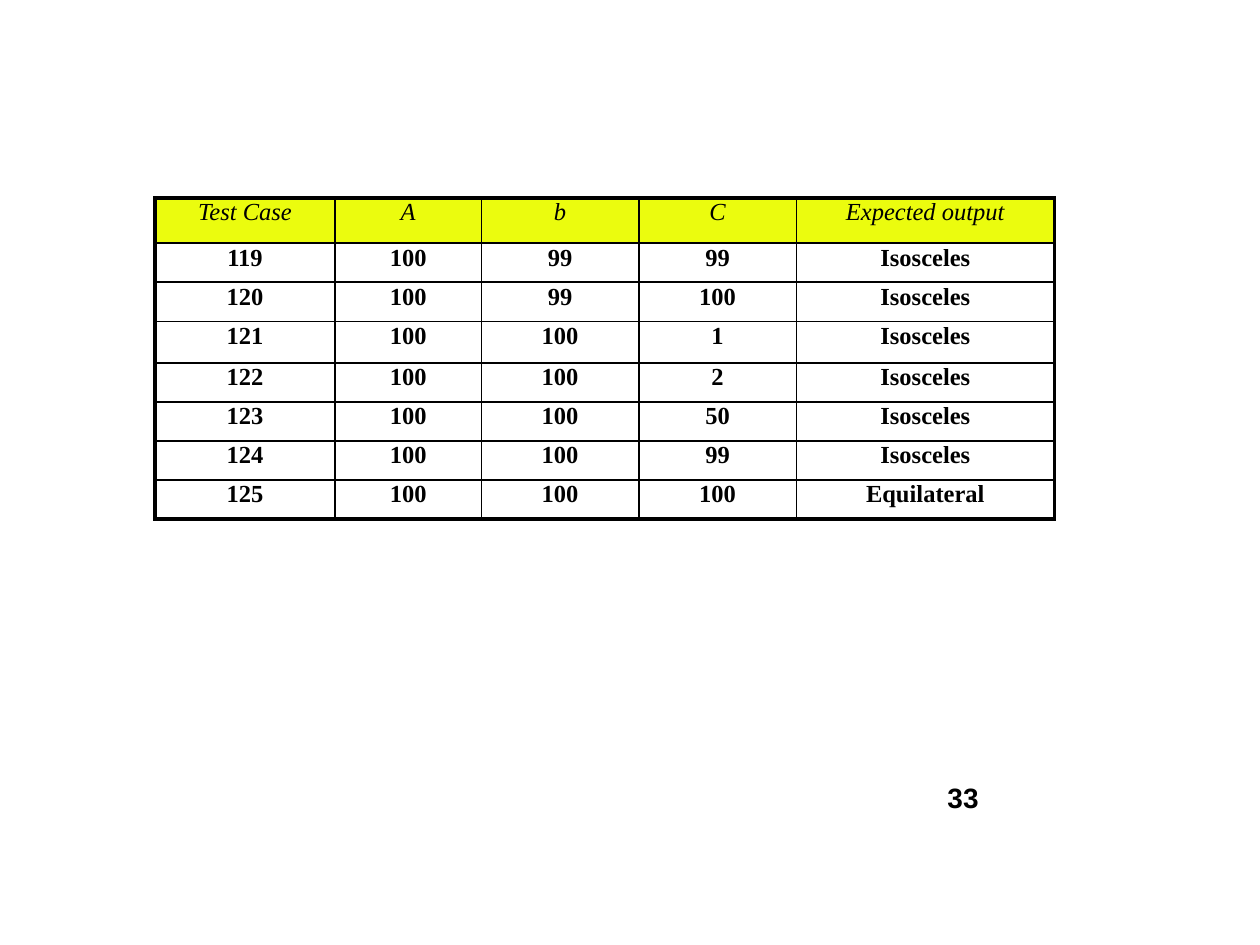
import dataclasses
import typing

import lxml.etree
import pptx
import pptx.dml.color
import pptx.enum.text
import pptx.oxml.ns
import pptx.util

Inches = pptx.util.Inches
Pt = pptx.util.Pt
BLACK = pptx.dml.color.RGBColor(0x00, 0x00, 0x00)
YELLOW = pptx.dml.color.RGBColor(0xEB, 0xFC, 0x0E)
THIN = Pt(1)
THICK = Pt(2.25)
HEADINGS = ("Test Case", "A", "b", "C", "Expected output")
COLUMN_WIDTHS = (1.43, 1.16, 1.25, 1.25, 2.05)
ROW_HEIGHTS = (0.36, 0.31, 0.31, 0.33, 0.31, 0.31, 0.31, 0.31)
NO_MARGINS = {"margin_left": 0, "margin_top": 0, "margin_right": 0, "margin_bottom": 0}
HEADING_FONT = {"name": "Times New Roman", "size": Pt(14), "italic": True, "bold": False}
BODY_FONT = {"name": "Times New Roman", "size": Pt(14), "italic": False, "bold": True}
NUMBER_FONT = {"name": "Arial", "size": Pt(16), "bold": True}


@dataclasses.dataclass(frozen=True)
class TriangleCase:
    number: int
    a: int
    b: int
    c: int
    output: str


CASES = (
    TriangleCase(119, 100, 99, 99, "Isosceles"),
    TriangleCase(120, 100, 99, 100, "Isosceles"),
    TriangleCase(121, 100, 100, 1, "Isosceles"),
    TriangleCase(122, 100, 100, 2, "Isosceles"),
    TriangleCase(123, 100, 100, 50, "Isosceles"),
    TriangleCase(124, 100, 100, 99, "Isosceles"),
    TriangleCase(125, 100, 100, 100, "Equilateral"),
)


def apply_format(target: typing.Any, values: dict) -> None:
    for name, value in values.items():
        setattr(target, name, value)


def write_text(para, text: str, font: dict) -> None:
    span = para.add_run()
    span.text = text
    apply_format(span.font, font)
    span.font.color.rgb = BLACK


def draw_border(cell, side: str, width: int) -> None:
    qn = pptx.oxml.ns.qn
    properties = cell._tc.get_or_add_tcPr()
    line = lxml.etree.SubElement(properties, qn(f"a:ln{side}"), w=str(int(width)))
    fill = lxml.etree.SubElement(line, qn("a:solidFill"))
    lxml.etree.SubElement(fill, qn("a:srgbClr"), val=str(BLACK))


def draw_table(slide, rows: list) -> None:
    frame = slide.shapes.add_table(
        len(rows), len(HEADINGS), Inches(1.23), Inches(1.57),
        Inches(sum(COLUMN_WIDTHS)), Inches(sum(ROW_HEIGHTS)),
    )
    table = frame.table
    apply_format(table, {"first_row": False, "horz_banding": False})
    for column, width in zip(table.columns, COLUMN_WIDTHS):
        column.width = Inches(width)
    for row, height in zip(table.rows, ROW_HEIGHTS):
        row.height = Inches(height)
    last_row, last_column = len(rows) - 1, len(HEADINGS) - 1
    for r, values in enumerate(rows):
        for c, value in enumerate(values):
            cell = table.cell(r, c)
            apply_format(cell, NO_MARGINS)
            para = cell.text_frame.paragraphs[0]
            para.alignment = pptx.enum.text.PP_ALIGN.CENTER
            para.line_spacing = 1.04
            write_text(para, str(value), HEADING_FONT if r == 0 else BODY_FONT)
            outer = {"L": c == 0, "R": c == last_column, "T": r == 0, "B": r == last_row}
            for side, is_outer in outer.items():
                draw_border(cell, side, THICK if is_outer else THIN)
            if r == 0:
                cell.fill.solid()
                cell.fill.fore_color.rgb = YELLOW
            else:
                cell.fill.background()


def draw_page_number(slide, number: str) -> None:
    box = slide.shapes.add_textbox(Inches(7.48), Inches(6.15), Inches(0.33), Inches(0.28))
    frame = box.text_frame
    apply_format(frame, NO_MARGINS)
    frame.word_wrap = True
    frame.auto_size = pptx.enum.text.MSO_AUTO_SIZE.SHAPE_TO_FIT_TEXT
    para = frame.paragraphs[0]
    para._p.get_or_add_pPr().set("marL", str(Inches(0.04)))
    para.line_spacing = 1.17
    write_text(para, number, NUMBER_FONT)


def main() -> None:
    deck = pptx.Presentation()
    apply_format(deck, {"slide_width": Inches(10), "slide_height": Inches(7.5)})
    slide = deck.slides.add_slide(deck.slide_layouts[6])
    draw_table(slide, [HEADINGS, *map(dataclasses.astuple, CASES)])
    draw_page_number(slide, "33")
    deck.save("out.pptx")


if __name__ == "__main__":
    main()
